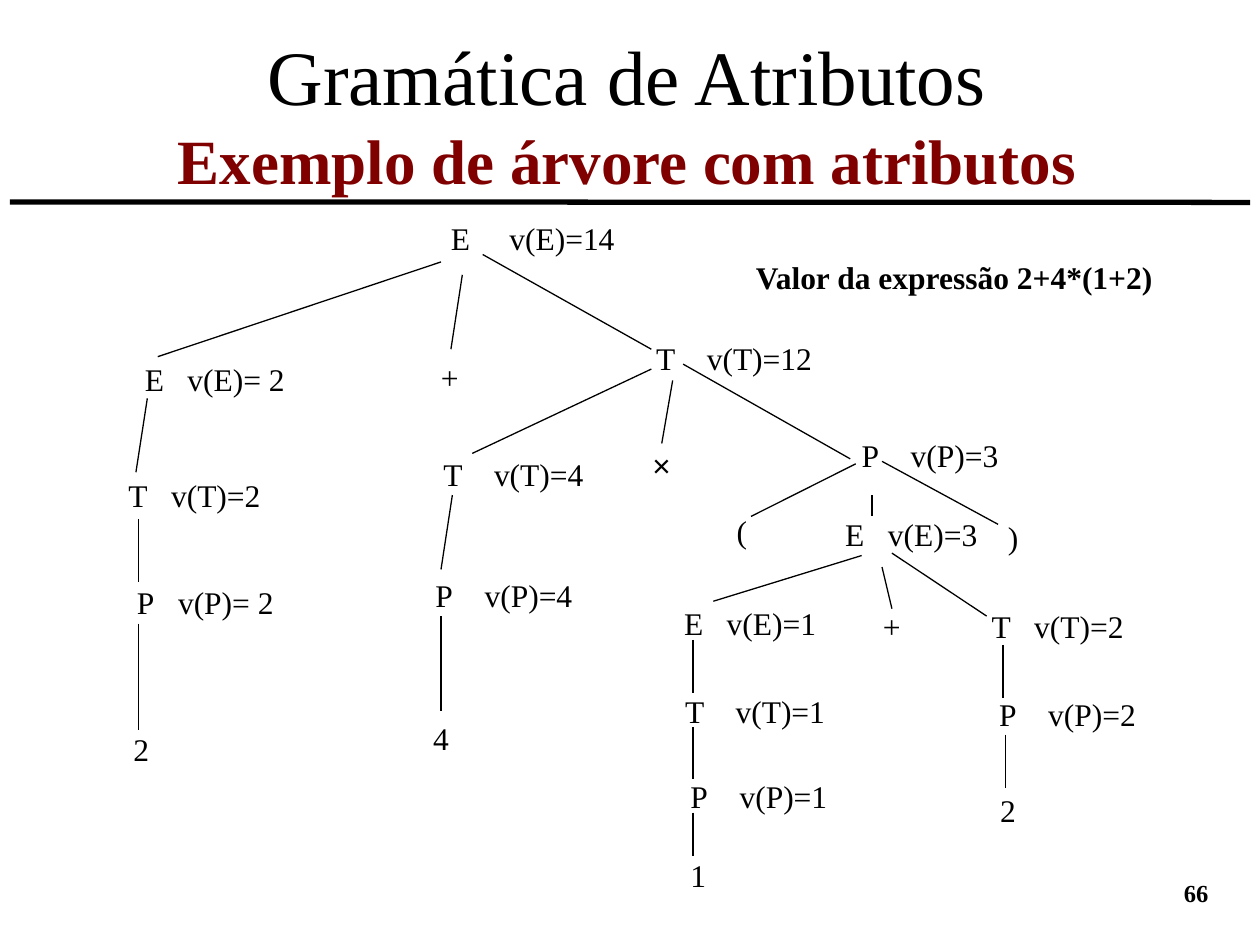
from dataclasses import dataclass
from typing import Any

from lxml.etree import SubElement
from pptx import Presentation
from pptx.dml.color import RGBColor
from pptx.enum.shapes import MSO_CONNECTOR as Connector
from pptx.enum.text import MSO_ANCHOR as Anchor, MSO_AUTO_SIZE as AutoSize, PP_ALIGN as Align
from pptx.oxml.ns import qn
from pptx.util import Cm, Pt

BLACK = "000000"
MAROON = "800000"
SERIF = "Times New Roman"


@dataclass(frozen=True)
class Label:
    text: str
    left: float
    top: float
    width: float = 1.1
    height: float = 1.02
    tab: float = 0
    font: str = SERIF
    size: float = 18
    bold: bool = False
    align: Any = Align.LEFT


@dataclass(frozen=True)
class Edge:
    x1: float
    y1: float
    x2: float
    y2: float
    weight: float = 0.75


def node(symbol: str, value: str, left: float, top: float, tab: float) -> Label:
    return Label(f"{symbol}\tv({symbol})={value}", left, top, 4, tab=tab)


LABELS = [
    node("E", "14", 8.84, 4.29, 1.18),
    node("E", " 2", 2.67, 7.14, 0.86),
    Label("+", 8.64, 7.09),
    node("T", "12", 12.98, 6.71, 1.02),
    node("T", "2", 2.34, 9.47, 0.86),
    node("P", " 2", 2.51, 11.63, 0.83),
    Label("2", 2.44, 14.6),
    node("T", "4", 8.69, 9.04, 1.02),
    Label("×", 12.9, 8.86, font="Arial"),
    node("P", "3", 17.12, 8.66, 0.99),
    node("P", "4", 8.53, 11.48, 0.99),
    Label("4", 8.48, 14.38),
    Label("(", 14.6, 10.19),
    node("E", "3", 16.79, 10.26, 0.86),
    Label(")", 20.07, 10.31),
    node("E", "1", 13.54, 12.06, 0.86),
    Label("+", 17.55, 12.12),
    node("T", "2", 19.74, 12.12, 0.86),
    node("T", "1", 13.56, 13.82, 1.02),
    node("P", "1", 13.67, 15.54, 0.99),
    Label("1", 13.67, 17.14),
    node("P", "2", 19.89, 13.89, 0.99),
    Label("2", 19.91, 15.82),
    Label("Valor da expressão 2+4*(1+2)", 14.99, 5.08, 9, bold=True),
    Label("66", 22.86, 17.58, 1.75, 1.27, size=14, bold=True, align=Align.RIGHT),
]

EDGES = [
    Edge(0.2, 4.07, 25.2, 4.08, 3),
    Edge(3.18, 7.19, 8.89, 5.28),
    Edge(9.32, 5.54, 9.09, 7.04),
    Edge(9.73, 5.13, 13.13, 7.04),
    Edge(13.13, 7.44, 9.52, 9.14),
    Edge(13.56, 7.67, 13.34, 8.94),
    Edge(13.77, 7.34, 17.14, 9.25),
    Edge(2.97, 8.03, 2.74, 9.52),
    Edge(2.8, 10.46, 2.8, 11.73),
    Edge(2.8, 12.57, 2.8, 14.71),
    Edge(9.12, 9.98, 8.89, 11.48),
    Edge(8.89, 12.42, 8.89, 14.33),
    Edge(17.25, 9.35, 15.14, 10.41),
    Edge(17.58, 9.98, 17.58, 10.41),
    Edge(17.78, 9.3, 20.12, 10.57),
    Edge(17.37, 11.2, 14.38, 12.12),
    Edge(17.78, 11.43, 17.98, 12.27),
    Edge(17.98, 11.15, 19.89, 12.42),
    Edge(13.97, 12.9, 13.97, 13.97),
    Edge(13.97, 14.66, 13.97, 15.7),
    Edge(13.97, 16.38, 13.97, 17.25),
    Edge(20.22, 13, 20.22, 14.07),
    Edge(20.27, 14.81, 20.27, 15.88),
]


def color(value: str) -> RGBColor:
    return RGBColor.from_string(value)


def apply(target: Any, values: dict[str, Any]) -> None:
    for name, value in values.items():
        setattr(target, name, value)


def add_span(para: Any, text: str, size: float, font: str = SERIF,
             bold: bool = False, shade: str = BLACK) -> None:
    span = para.add_run()
    span.text = text
    apply(span.font, {"name": font, "size": Pt(size), "bold": bold})
    span.font.color.rgb = color(shade)


def draw_label(page: Any, label: Label) -> None:
    box = page.shapes.add_textbox(
        Cm(label.left), Cm(label.top), Cm(label.width), Cm(label.height))
    box.text_frame.word_wrap = True
    para = box.text_frame.paragraphs[0]
    para.alignment = label.align
    if label.tab:
        stops = SubElement(para._p.get_or_add_pPr(), qn("a:tabLst"))
        SubElement(stops, qn("a:tab"), pos=str(Cm(label.tab)), algn="l")
    add_span(para, label.text, label.size, label.font, label.bold)


def draw_edge(page: Any, edge: Edge) -> None:
    line = page.shapes.add_connector(
        Connector.STRAIGHT, Cm(edge.x1), Cm(edge.y1), Cm(edge.x2), Cm(edge.y2))
    line.line.width = Pt(edge.weight)
    line.line.color.rgb = color(BLACK)
    SubElement(line._element.spPr, qn("a:effectLst"))


def draw_title(page: Any) -> None:
    title = page.shapes.title
    apply(title, {"left": Cm(0.64), "top": Cm(0.46), "width": Cm(24), "height": Cm(3.63)})
    apply(title.text_frame, {
        "word_wrap": True, "auto_size": AutoSize.NONE, "vertical_anchor": Anchor.MIDDLE,
        "margin_top": 0, "margin_bottom": 0})
    para = title.text_frame.paragraphs[0]
    para.alignment = Align.CENTER
    add_span(para, "Gramática de Atributos", 44)
    para.add_line_break()
    add_span(para, "Exemplo de árvore com atributos", 36, bold=True, shade=MAROON)


def main() -> None:
    deck = Presentation()
    apply(deck, {"slide_width": Cm(25.4), "slide_height": Cm(19.05)})
    page = deck.slides.add_slide(deck.slide_layouts[5])
    draw_title(page)
    for edge in EDGES:
        draw_edge(page, edge)
    for label in LABELS:
        draw_label(page, label)
    deck.save("out.pptx")


if __name__ == "__main__":
    main()
